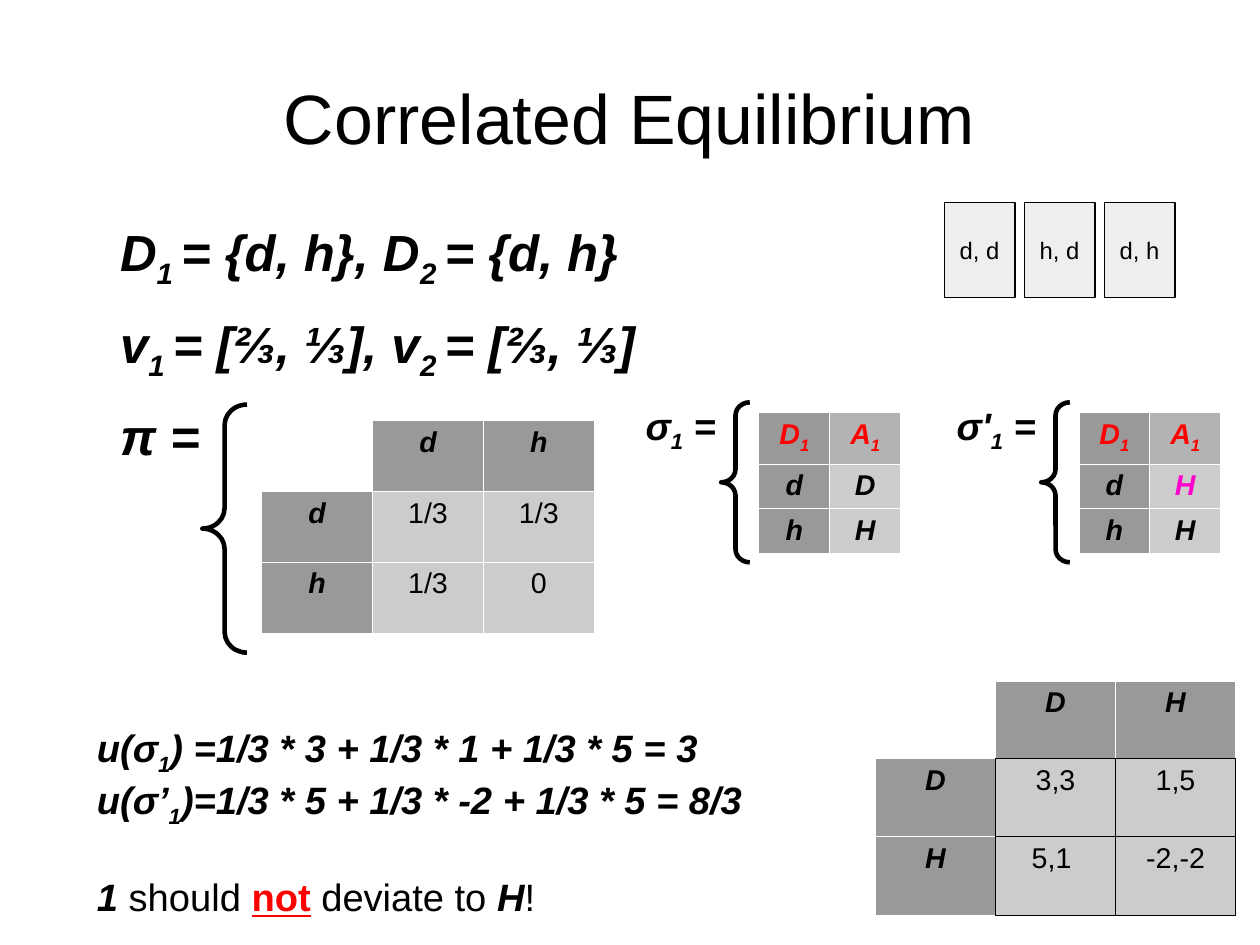
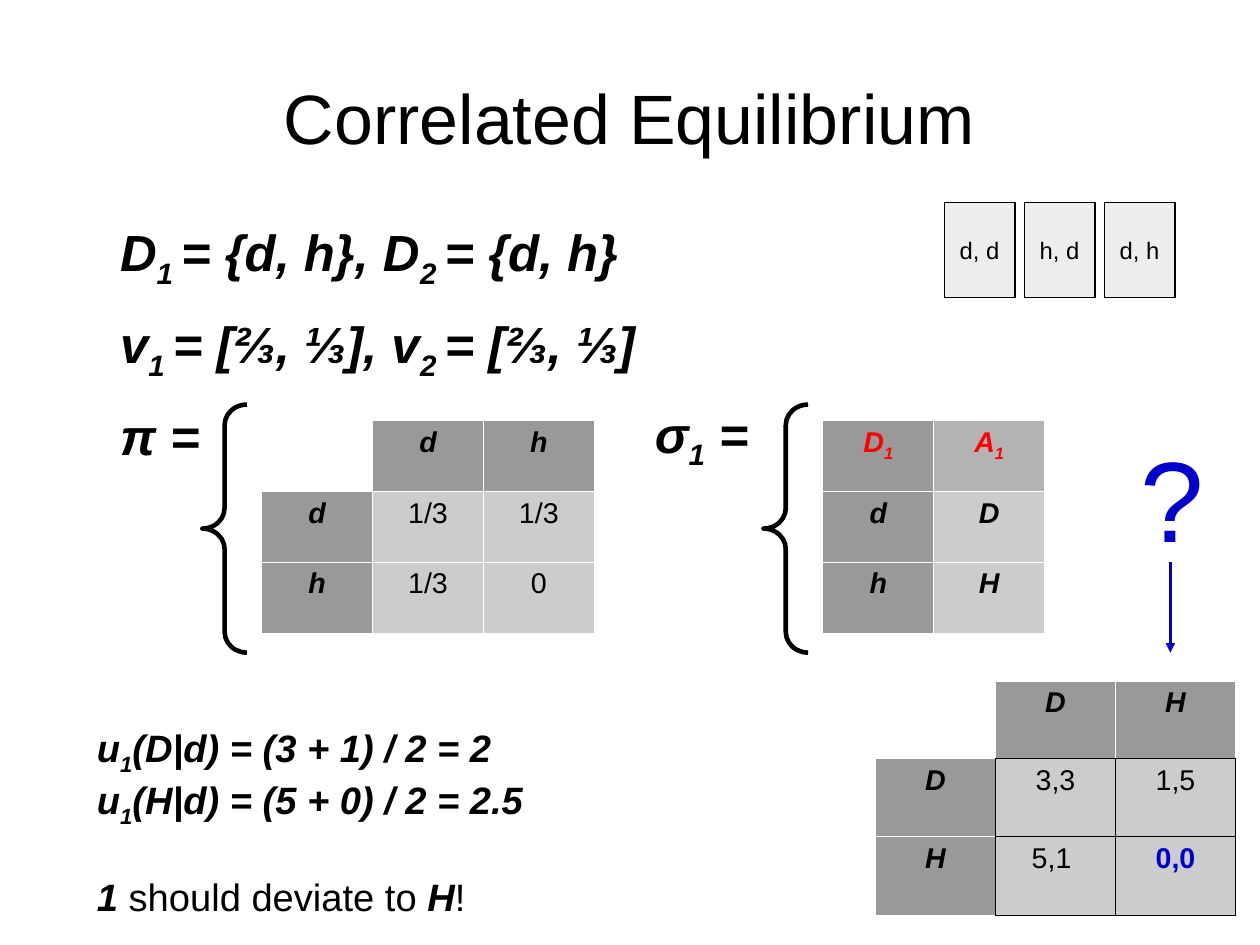
from pptx import Presentation
from pptx.dml.color import RGBColor
from pptx.enum.shapes import MSO_CONNECTOR as Link, MSO_SHAPE as Shape
from pptx.enum.text import MSO_ANCHOR as Anchor, MSO_AUTO_SIZE as Fit, PP_ALIGN as Align
from pptx.oxml.ns import qn
from pptx.util import Cm, Inches, Pt
from lxml import etree

HUES = {"black": "000000", "white": "FFFFFF", "dark": "999999", "mid": "B3B3B3",
        "light": "CCCCCC", "card": "EEEEEE", "red": "FF0000", "pink": "FF00CC",
        "blue": "0000CC"}
RGB = {name: RGBColor.from_string(hue) for name, hue in HUES.items()}

VAR = {"bold": True, "italic": True}
LOOKS = {
    "plain": ("black", {}),
    "var": ("black", VAR),
    "sub": ("black", VAR),
    "red": ("red", VAR),
    "redsub": ("red", VAR),
    "pink": ("pink", VAR),
    "strong": ("blue", {"bold": True}),
    "ask": ("blue", {}),
    "alert": ("red", {"bold": True, "underline": True}),
}
FLAT = {"margin_left": 0, "margin_right": 0, "margin_top": 0, "margin_bottom": 0,
        "word_wrap": True, "auto_size": Fit.NONE}


def write(par, runs, size):
    """Add (text, look) runs to a paragraph."""
    for text, look in runs:
        run = par.add_run()
        run.text = text
        hue, form = LOOKS[look]
        font = run.font
        font.name, font.size = "Arial", Pt(size)
        font.color.rgb = RGB[hue]
        for key, val in ({"bold": False, "italic": False} | form).items():
            setattr(font, key, val)
        if look.endswith("sub"):
            run._r.get_or_add_rPr().set("baseline", "-25000")


def grid(slide, spot, cols, rows, cells, head="dark", ink="white"):
    """Add a table; ink colours the edges of the cells inside the headers."""
    x, y = spot
    table = slide.shapes.add_table(
        len(rows), len(cols), Inches(x), Inches(y),
        Inches(sum(cols)), Inches(sum(rows))).table
    table.first_row = table.horz_banding = False
    for col, wide in zip(table.columns, cols):
        col.width = Inches(wide)
    for row, high in zip(table.rows, rows):
        row.height = Inches(high)
    for r, line in enumerate(cells):
        for c, runs in enumerate(line):
            cell = table.cell(r, c)
            par = cell.text_frame.paragraphs[0]
            par.alignment = Align.CENTER
            write(par, runs, 18)
            props = cell._tc.get_or_add_tcPr()
            for side, dr, dc in (("L", 0, -1), ("R", 0, 1), ("T", -1, 0), ("B", 1, 0)):
                inner = min(r, c) > 0 or min(r + dr, c + dc) > 0
                edge = etree.SubElement(props, qn(f"a:ln{side}"), w=str(Pt(0.75)))
                fill = etree.SubElement(edge, qn("a:solidFill"))
                etree.SubElement(fill, qn("a:srgbClr"), val=HUES[ink if inner else "white"])
            if c == 0:
                tone = "dark" if runs else "white"
            else:
                tone = head if r == 0 else "light"
            cell.fill.solid()
            cell.fill.fore_color.rgb = RGB[tone]


sets = [
    [("D", "var"), ("1 ", "sub"), ("= {d, h}, D", "var"), ("2 ", "sub"), ("= {d, h}", "var")],
    [("v", "var"), ("1 ", "sub"), ("= [⅔, ⅓], v", "var"), ("2 ", "sub"), ("= [⅔, ⅓]", "var")],
    [("π =", "var")],
]
odds = [
    [[], [("d", "var")], [("h", "var")]],
    [[("d", "var")], [("1/3", "plain")], [("1/3", "plain")]],
    [[("h", "var")], [("1/3", "plain")], [("0", "plain")]],
]
small = {"cols": [0.62] * 2, "rows": [0.45, 0.39, 0.39]}
large = {"cols": [0.97] * 2, "rows": [0.62] * 3}

# Plans: sign, size, label box, brace box, table spot, table sizes, look of the reply to d
pages = [
    {
        "plans": [
            ("σ", 24, (5.55, 3.47, 1.06, 1.2), (6.31, 3.52, 0.25, 1.4),
             (6.64, 3.61), small, ("D", "var")),
            ("σ'", 24, (8.27, 3.47, 0.98, 1.2), (9.11, 3.52, 0.25, 1.4),
             (9.44, 3.61), small, ("H", "pink")),
        ],
        "last": ("-2,-2", "plain"),
        "sums": [
            [("u(σ", "var"), ("1", "sub"), (") =1/3 * 3 + 1/3 * 1 + 1/3 * 5 = 3", "var")],
            [("u(σ’", "var"), ("1", "sub"), (")=1/3 * 5 + 1/3 * -2 + 1/3 * 5 = 8/3", "var")],
            [("1", "var"), (" should ", "plain"), ("not", "alert"),
             (" deviate to ", "plain"), ("H", "var"), ("!", "plain")],
        ],
        "ask": False,
    },
    {
        "plans": [
            ("σ", 32, (5.63, 3.47, 1.18, 0.7), (6.68, 3.54, 0.39, 2.17),
             (7.2, 3.68), large, ("D", "var")),
        ],
        "last": ("0,0", "strong"),
        "sums": [
            [("u", "var"), ("1", "sub"), ("(D|d) = (3 + 1) / 2 = 2", "var")],
            [("u", "var"), ("1", "sub"), ("(H|d) = (5 + 0) / 2 = 2.5", "var")],
            [("1", "var"), (" should deviate to ", "plain"), ("H", "var"), ("!", "plain")],
        ],
        "ask": True,
    },
]

deck = Presentation()
deck.slide_width, deck.slide_height = Cm(28), Cm(21)

for page in pages:
    slide = deck.slides.add_slide(deck.slide_layouts[1])
    shapes = slide.shapes
    title, body = shapes.title, slide.placeholders[1]
    for holder, top, high, anchor in ((title, 0.33, 1.38, Anchor.MIDDLE),
                                      (body, 1.93, 4.8, Anchor.TOP)):
        holder.left, holder.top = Inches(0.55), Inches(top)
        holder.width, holder.height = Inches(9.92), Inches(high)
        frame = holder.text_frame
        for key, val in FLAT.items():
            setattr(frame, key, val)
        frame.vertical_anchor = anchor
    par = title.text_frame.paragraphs[0]
    par.alignment = Align.CENTER
    write(par, [("Correlated Equilibrium", "plain")], 44)
    frame = body.text_frame
    for n, runs in enumerate(sets):
        par = frame.add_paragraph() if n else frame.paragraphs[0]
        props = par._p.get_or_add_pPr()
        props.set("marL", str(Inches(0.5)))
        props.set("indent", "0")
        etree.SubElement(props, qn("a:buNone"))
        par.space_before = Pt(14.2 if n else 0)
        write(par, runs, 32)

    # Tables
    grid(slide, (2.29, 3.68), [0.97] * 3, [0.62] * 3, odds)
    for sign, size, label, brace, spot, sizes, reply in page["plans"]:
        grid(slide, spot, head="mid", cells=[
            [[("D", "red"), ("1", "redsub")], [("A", "red"), ("1", "redsub")]],
            [[("d", "var")], [reply]],
            [[("h", "var")], [("H", "var")]],
        ], **sizes)
    grid(slide, (7.66, 5.96), [1.05] * 3, [0.68, 0.68, 0.69], [
        [[], [("D", "var")], [("H", "var")]],
        [[("D", "var")], [("3,3", "plain")], [("1,5", "plain")]],
        [[("H", "var")], [("5,1 ", "plain")], [page["last"]]],
    ], ink="black")

    # Braces
    for box in [(1.77, 3.54, 0.39, 2.17)] + [plan[3] for plan in page["plans"]]:
        brace = shapes.add_shape(Shape.LEFT_BRACE, *map(Inches, box))
        brace.adjustments[0] = 0.46
        brace.shadow.inherit = False
        brace.fill.background()
        brace.line.color.rgb = RGB["black"]
        brace.line.width = Pt(2.89)

    # Text boxes
    notes = [(plan[2], plan[1], [[(plan[0], "var"), ("1", "sub"), (" =", "var")]])
             for plan in page["plans"]]
    notes.append(((0.75, 6.29, 6.34, 1.68), 24, page["sums"]))
    if page["ask"]:
        notes.append(((9.88, 3.7, 0.79, 1.22), 72, [[("?", "ask")]]))
    for box, size, lines in notes:
        frame = shapes.add_textbox(*map(Inches, box)).text_frame
        frame.word_wrap = True
        for n, runs in enumerate(lines):
            par = frame.add_paragraph() if n else frame.paragraphs[0]
            par.space_before = Pt(28.5 if n == 2 else 0)
            write(par, runs, size)

    # Signal cards
    for n, pair in enumerate(("d, d", "h, d", "d, h")):
        card = shapes.add_shape(Shape.RECTANGLE, Inches(8.26 + 0.7 * n), Inches(1.77),
                                Inches(0.62), Inches(0.83))
        card.shadow.inherit = False
        card.fill.solid()
        card.fill.fore_color.rgb = RGB["card"]
        card.line.color.rgb = RGB["black"]
        card.line.width = Pt(0.75)
        card.text_frame.vertical_anchor = Anchor.MIDDLE
        par = card.text_frame.paragraphs[0]
        par.alignment = Align.CENTER
        write(par, [(pair, "plain")], 15)

    if page["ask"]:
        arrow = shapes.add_connector(Link.STRAIGHT, Inches(10.24), Inches(4.92),
                                     Inches(10.24), Inches(5.71))
        arrow.line.color.rgb = RGB["blue"]
        arrow.line.width = Pt(1.44)
        etree.SubElement(arrow.line._get_or_add_ln(), qn("a:tailEnd"), type="triangle")
        etree.SubElement(arrow._element.spPr, qn("a:effectLst"))

deck.save("out.pptx")
